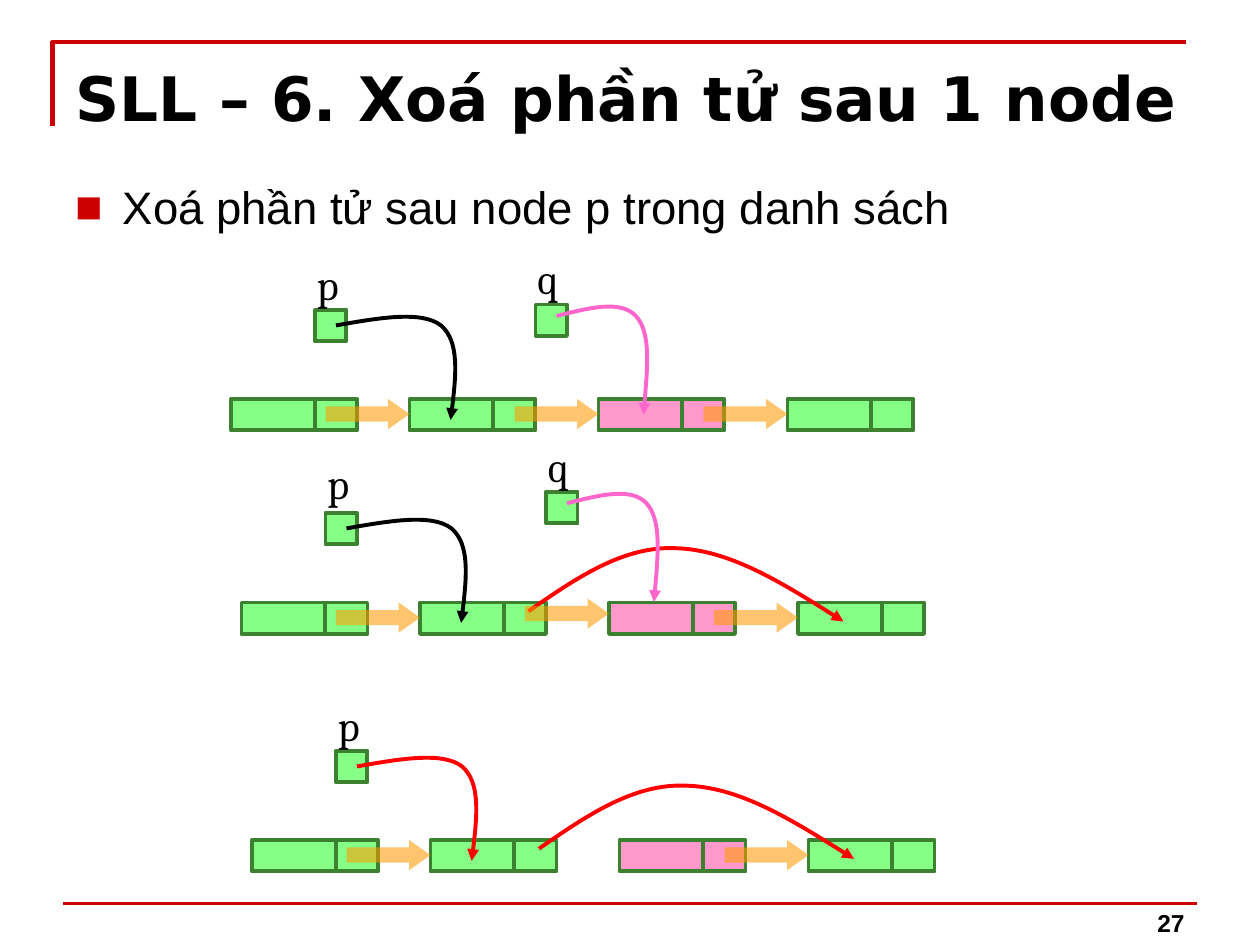
from lxml import etree
from pptx import Presentation
from pptx.dml.color import RGBColor
from pptx.enum.shapes import MSO_CONNECTOR, MSO_SHAPE
from pptx.enum.text import MSO_ANCHOR, MSO_AUTO_SIZE, PP_ALIGN
from pptx.oxml.ns import qn
from pptx.util import Pt

RECTANGLE = MSO_SHAPE.RECTANGLE
RIGHT_ARROW = MSO_SHAPE.RIGHT_ARROW
STRAIGHT = MSO_CONNECTOR.STRAIGHT
TOP, BOTTOM = MSO_ANCHOR.TOP, MSO_ANCHOR.BOTTOM
NO_AUTOFIT, GROW = MSO_AUTO_SIZE.NONE, MSO_AUTO_SIZE.SHAPE_TO_FIT_TEXT
LEFT, RIGHT, JUSTIFY = PP_ALIGN.LEFT, PP_ALIGN.RIGHT, PP_ALIGN.JUSTIFY

BLACK = RGBColor(0x00, 0x00, 0x00)
RULE_RED = RGBColor(0xCC, 0x00, 0x00)
LINK_RED = RGBColor(0xFF, 0x00, 0x00)
GREEN = RGBColor(0x00, 0xFF, 0x00)
DARK_GREEN = RGBColor(0x3B, 0x81, 0x2F)
PINK = RGBColor(0xFF, 0x99, 0xCC)
HOT_PINK = RGBColor(0xFF, 0x66, 0xCC)
ORANGE = RGBColor(0xFF, 0x99, 0x00)

NODE_OFFSETS = (0, 102, 210, 318)
NODE_COLORS = (GREEN, GREEN, PINK, GREEN)
DATA_WIDTH, LINK_WIDTH, CELL_HEIGHT = 48, 24, 18
ARROW_WIDTH, ARROW_HEIGHT = 48, 17.3

P_CURVE = ((24.5, -4.3), (49, -8.6), (60, 0), (70.5, 9), (68.5, 31.5), (65.5, 54))
Q_CURVE = ((18.7, -4.7), (36.7, -9.4), (45.4, 0), (54, 9.4), (51.8, 32.6), (49.7, 56.4))
BYPASS_CURVE = ((27, -18.7), (54, -37.4), (84.2, -36), (114.5, -35.2), (147.6, -14.6), (180, 5.8))


def set_text(shape, text, font_name, size, alignment=LEFT, bold=False):
    """Fill a shape with one formatted paragraph and return it."""
    shape.text_frame.text = text
    paragraph = shape.text_frame.paragraphs[0]
    paragraph.alignment = alignment
    font = paragraph.runs[0].font
    font.name, font.size, font.bold = font_name, Pt(size), bold
    font.color.rgb = BLACK
    return paragraph


def place(shape, left, top, width, height):
    """Move and size a shape in points."""
    shape.left, shape.top = Pt(left), Pt(top)
    shape.width, shape.height = Pt(width), Pt(height)


def add_filled(slide, kind, left, top, width, height, color, opacity=100):
    """Add a filled preset shape, transparent below full opacity."""
    shape = slide.shapes.add_shape(kind, Pt(left), Pt(top), Pt(width), Pt(height))
    shape.shadow.inherit = False
    shape.fill.solid()
    shape.fill.fore_color.rgb = color
    if opacity < 100:
        color_element = shape._element.spPr.find(qn("a:solidFill"))[0]
        etree.SubElement(color_element, qn("a:alpha"), val=str(opacity * 1000))
    shape.line.fill.background()
    return shape


def add_cell(slide, left, top, width, color):
    """Add one outlined memory cell."""
    opacity = 48 if color == GREEN else 100
    cell = add_filled(slide, RECTANGLE, left, top, width, CELL_HEIGHT, color, opacity)
    cell.line.color.rgb = DARK_GREEN
    cell.line.width = Pt(2.25)


def add_next_arrow(slide, target_left, top):
    """Add a block arrow that ends at the left side of the next node."""
    arrow = add_filled(slide, RIGHT_ARROW, target_left - ARROW_WIDTH, top,
                       ARROW_WIDTH, ARROW_HEIGHT, ORANGE, 57)
    arrow.adjustments[0], arrow.adjustments[1] = 0.5, 0.706


def add_open_path(slide, points, color, width):
    """Add an unfilled freeform through the given points."""
    start, *others = [(Pt(x), Pt(y)) for x, y in points]
    builder = slide.shapes.build_freeform(*start)
    builder.add_line_segments(others, close=False)
    shape = builder.convert_to_shape()
    shape.shadow.inherit = False
    shape.fill.background()
    shape.line.color.rgb = color
    shape.line.width = Pt(width)
    return shape


def add_curve(slide, left, top, offsets, color):
    """Add a curved arrow of cubic segments given relative to its start."""
    points = [(left, top)] + [(left + x, top + y) for x, y in offsets]
    properties = add_open_path(slide, points, color, 2.25)._element.spPr
    path = properties.find(".//" + qn("a:path"))
    segments = path.findall(qn("a:lnTo"))
    for first in range(0, len(segments), 3):
        cubic = etree.SubElement(path, qn("a:cubicBezTo"))
        for segment in segments[first:first + 3]:
            cubic.append(segment[0])
            path.remove(segment)
    etree.SubElement(properties.find(qn("a:ln")), qn("a:tailEnd"), type="triangle")


def add_pointer(slide, name, left, top, label_top, start_drop, offsets, color):
    """Add a named pointer box with its curved arrow."""
    add_cell(slide, left, top, CELL_HEIGHT, GREEN)
    label = slide.shapes.add_textbox(Pt(left - 6), Pt(label_top), Pt(26.6), Pt(36))
    label.text_frame.word_wrap = False
    label.text_frame.auto_size = GROW
    set_text(label, name, "Cambria", 24)
    add_curve(slide, left + 12, top + start_drop, offsets, color)


def add_list(slide, left, top, linked_nodes):
    """Add the row of nodes with block arrows into the linked ones."""
    for offset, color in zip(NODE_OFFSETS, NODE_COLORS):
        add_cell(slide, left + offset, top, DATA_WIDTH, color)
        add_cell(slide, left + offset + DATA_WIDTH, top, LINK_WIDTH, color)
    for node in linked_nodes:
        add_next_arrow(slide, left + NODE_OFFSETS[node], top)


def add_bypass(slide, left, top):
    """Add the new link from the second node to the last one."""
    add_curve(slide, left + 164, top + 5, BYPASS_CURVE, LINK_RED)


def add_frame(slide):
    """Add the red rules and the slide number."""
    add_open_path(slide, ((30, 72), (30, 24), (678, 24)), RULE_RED, 2.5)
    rule = slide.shapes.add_connector(STRAIGHT, Pt(36), Pt(516.2), Pt(684), Pt(516.2))
    rule.line.color.rgb = RULE_RED
    rule.line.width = Pt(2)
    etree.SubElement(rule._element.spPr, qn("a:effectLst"))
    number = slide.shapes.add_textbox(Pt(516), Pt(503.3), Pt(168), Pt(36))
    number.text_frame.word_wrap = True
    number.text_frame.vertical_anchor = BOTTOM
    set_text(number, "27", "Arial", 14, RIGHT, True)


def fill_placeholders(slide):
    """Fill the title and the bulleted body."""
    title, body = slide.placeholders
    place(title, 36, 28, 648, 62)
    place(body, 36, 96, 648, 386.6)
    set_text(title, "SLL – 6. Xoá phần tử sau 1 node", "DejaVu Sans", 35, LEFT, True)
    paragraph = set_text(body, "Xoá phần tử sau node p trong danh sách", "Arial", 26, JUSTIFY)
    paragraph.space_before = Pt(0)
    properties = paragraph._p.get_or_add_pPr()
    properties.set("marL", str(Pt(27)))
    properties.set("indent", str(Pt(-27)))
    bullet_color = etree.SubElement(properties, qn("a:buClr"))
    etree.SubElement(bullet_color, qn("a:srgbClr"), val=str(RULE_RED))
    etree.SubElement(properties, qn("a:buFont"), typeface="Arial")
    etree.SubElement(properties, qn("a:buChar"), char="■")
    for shape in (title, body):
        shape.text_frame.auto_size = NO_AUTOFIT
        shape.text_frame.vertical_anchor = TOP
        shape.text_frame.margin_top = Pt(6.5)
    title.text_frame.margin_right = Pt(0)


def main():
    """Build the slide and save it."""
    presentation = Presentation()
    presentation.slide_width, presentation.slide_height = Pt(720), Pt(540)
    slide = presentation.slides.add_slide(presentation.slide_layouts[1])
    fill_placeholders(slide)
    add_frame(slide)

    add_list(slide, 132, 228, (1, 2, 3))
    add_pointer(slide, "p", 180, 177, 144, 9, P_CURVE, BLACK)
    add_pointer(slide, "q", 306, 174, 141, 6.6, Q_CURVE, HOT_PINK)

    add_list(slide, 138, 344.3, (1, 3))
    add_pointer(slide, "p", 186, 293, 258, 9, P_CURVE, BLACK)
    add_bypass(slide, 138, 344.3)
    add_pointer(slide, "q", 312, 281, 248, 6.6, Q_CURVE, HOT_PINK)
    add_next_arrow(slide, 348, 342)

    add_list(slide, 144, 480, (1, 3))
    add_pointer(slide, "p", 192, 429, 396, 9, P_CURVE, LINK_RED)
    add_bypass(slide, 144, 480)
    presentation.save("out.pptx")


if __name__ == "__main__":
    main()
